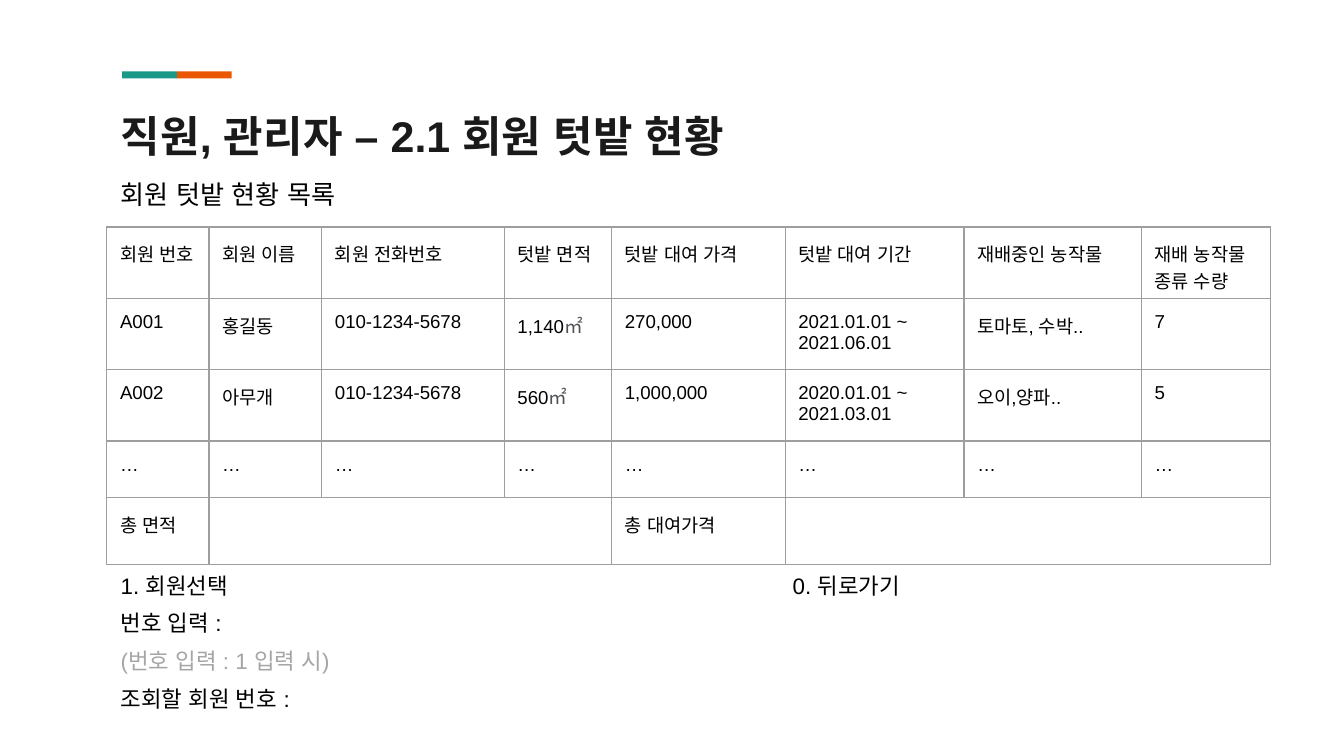
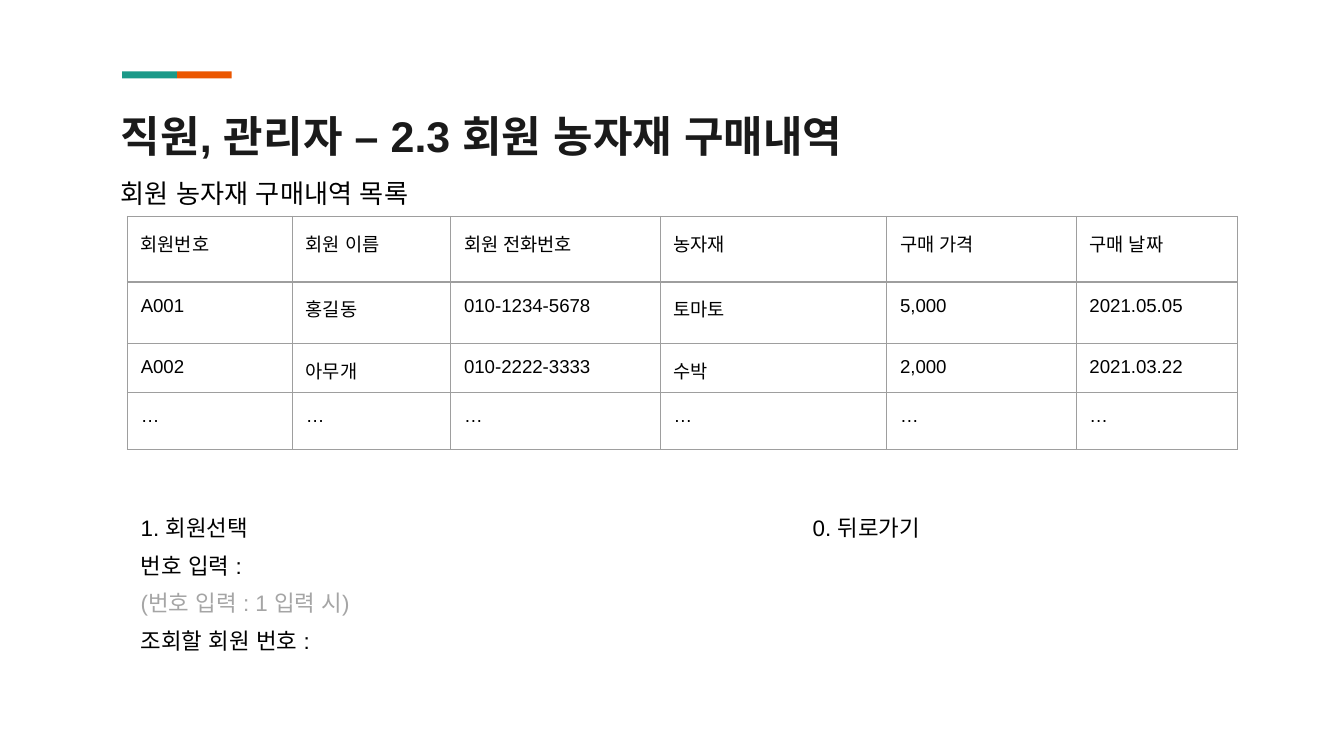
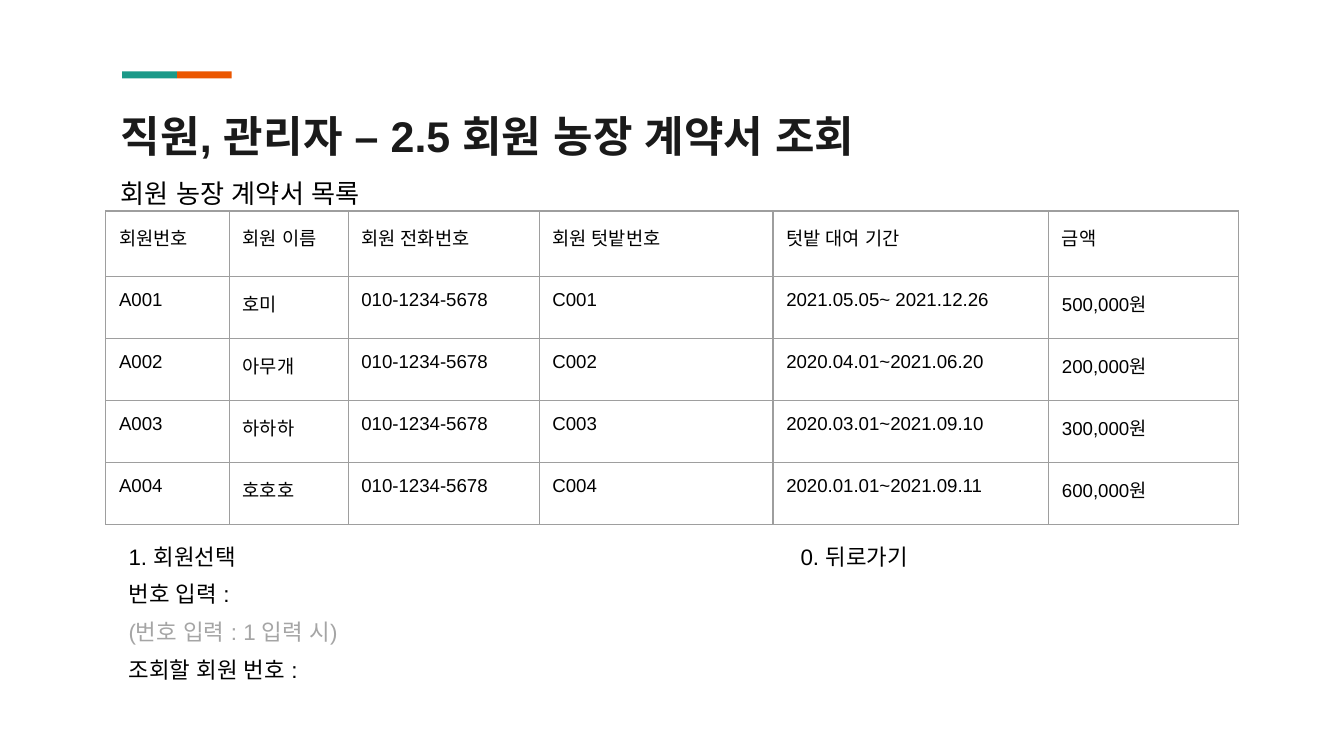
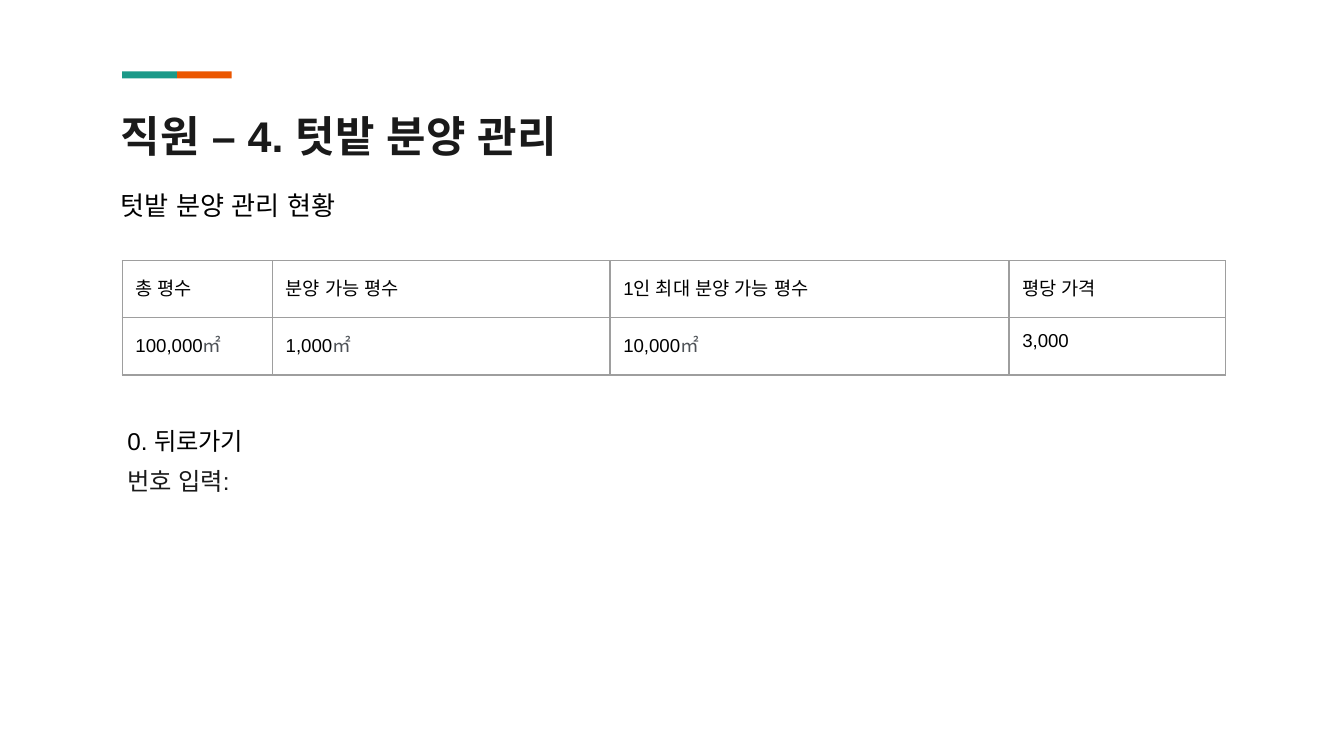
from lxml.etree import SubElement
from pptx import Presentation
from pptx.dml.color import RGBColor
from pptx.enum.lang import MSO_LANGUAGE_ID
from pptx.enum.shapes import MSO_SHAPE
from pptx.enum.text import MSO_ANCHOR, MSO_AUTO_SIZE, PP_ALIGN
from pptx.oxml.ns import qn
from pptx.util import Cm, Pt

FONT = "Arial"
BLACK, INK, UNIT_GRAY, HINT_GRAY = "000000", "1A1A1A", "4D5156", "A5A5A5"
BORDER, TEAL, ORANGE = "9E9E9E", "1A9988", "EB5600"
INSET = 0.25
LEFT = 2.03
UNIT = "㎡"
TAB_STOP = 12.7
BAR_LENGTH, BAR_THICKNESS = 1.45, 0.07
SUBTITLE_SIZE = (9.35, 1.12)
PROMPT_SIZE = (20.35, 3.89)
PROMPT_LINES = [
    ("1. 회원선택\t0. 뒤로가기", BLACK),
    ("번호 입력 :", BLACK),
    ("(번호 입력 : 1 입력 시)", HINT_GRAY),
    ("조회할 회원 번호 :", BLACK),
]


def rgb(value):
    return RGBColor.from_string(value)


def add_text(p, text, size=10, color=BLACK, bold=False, east_asian=True):
    r = p.add_run()
    r.text = text
    r.font.size = Pt(size)
    r.font.bold = bold
    r.font.name = FONT
    r.font.language_id = MSO_LANGUAGE_ID.KOREAN
    r.font.color.rgb = rgb(color)
    if east_asian:
        SubElement(r.font._element, qn("a:ea"), typeface=FONT)
    return r


def set_insets(target, left=INSET):
    target.margin_left = Cm(left)
    target.margin_top = target.margin_right = target.margin_bottom = Cm(INSET)


def add_bars(slide, layout):
    group = slide.shapes.add_group_shape()
    for i, color in ((1, ORANGE), (0, TEAL)):
        center = BAR_LENGTH * (i + 0.5)
        sp = group.shapes.add_shape(
            MSO_SHAPE.RECTANGLE,
            Cm(center - BAR_THICKNESS / 2), Cm((BAR_THICKNESS - BAR_LENGTH) / 2),
            Cm(BAR_THICKNESS), Cm(BAR_LENGTH))
        sp.rotation = 270
        sp.shadow.inherit = False
        sp.fill.solid()
        sp.fill.fore_color.rgb = rgb(color)
        sp.line.fill.background()
    group.left, group.top, group.width, group.height = Cm(2.31), Cm(1.35), Cm(2.07), Cm(0.13)
    xfrm = group.element.grpSpPr.find(qn("a:xfrm"))
    offset, extent = xfrm.find(qn("a:chOff")), xfrm.find(qn("a:chExt"))
    offset.set("x", "0")
    offset.set("y", "0")
    extent.set("cx", str(Cm(2 * BAR_LENGTH)))
    extent.set("cy", str(Cm(BAR_THICKNESS)))
    layout.shapes.element.append(group.element)


def style_layout(layout):
    title = layout.placeholders[0]
    title.left, title.top, title.width, title.height = Cm(LEFT), Cm(1.83), Cm(21.36), Cm(1.5)
    tf = title.text_frame
    set_insets(tf)
    tf.vertical_anchor = MSO_ANCHOR.TOP
    tf.auto_size = MSO_AUTO_SIZE.NONE


def add_box(slide, left, top, size, lines, font_size, spacing=None, inset_left=INSET):
    sp = slide.shapes.add_textbox(Cm(left), Cm(top), *map(Cm, size))
    tf = sp.text_frame
    tf.word_wrap = True
    set_insets(tf, inset_left)
    for i, (text, color) in enumerate(lines):
        p = tf.add_paragraph() if i else tf.paragraphs[0]
        if "\t" in text:
            tabs = SubElement(p._p.get_or_add_pPr(), qn("a:tabLst"))
            SubElement(tabs, qn("a:tab"), pos=str(Cm(TAB_STOP)), algn="l")
        if spacing:
            p.line_spacing = spacing
        add_text(p, text, size=font_size, color=color)
    return tf


def add_page(prs, layout, title, subtitle, subtitle_top):
    slide = prs.slides.add_slide(layout)
    p = slide.shapes.title.text_frame.paragraphs[0]
    p.alignment = PP_ALIGN.LEFT
    add_text(p, title, size=23, color=INK, bold=True)
    add_box(slide, LEFT, subtitle_top, SUBTITLE_SIZE, [(subtitle, BLACK)], 14)
    return slide


def add_prompt(slide, left, top):
    add_box(slide, left, top, PROMPT_SIZE, PROMPT_LINES, 12, spacing=1.4)


def set_borders(cell):
    tcPr = cell._tc.get_or_add_tcPr()
    for side in ("lnL", "lnR", "lnT", "lnB"):
        ln = SubElement(tcPr, qn(f"a:{side}"), w=str(Pt(0.75)))
        fill = SubElement(ln, qn("a:solidFill"))
        SubElement(fill, qn("a:srgbClr"), val=BORDER)


def fill_cell(cell, text):
    for i, line in enumerate(text.split("\n")):
        p = cell.text_frame.paragraphs[0] if i == 0 else cell.text_frame.add_paragraph()
        value, unit, _ = line.partition(UNIT)
        add_text(p, value, east_asian=False)
        if unit:
            add_text(p, unit, color=UNIT_GRAY, east_asian=False)


def style_empty_cell(cell):
    p = cell.text_frame.paragraphs[0]
    end = SubElement(p._p, qn("a:endParaRPr"), sz="1800")
    SubElement(end, qn("a:latin"), typeface=FONT)


def add_grid(slide, left, top, widths, heights, rows):
    frame = slide.shapes.add_table(
        len(rows), len(widths), Cm(left), Cm(top), Cm(sum(widths)), Cm(sum(heights)))
    table = frame.table
    table.first_row = table.horz_banding = False
    for column, width in zip(table.columns, widths):
        column.width = Cm(width)
    for i, (height, row) in enumerate(zip(heights, rows)):
        table.rows[i].height = Cm(height)
        start = 0
        for j, text in enumerate(row):
            cell = table.cell(i, j)
            set_borders(cell)
            cell.fill.background()
            set_insets(cell)
            if text:
                fill_cell(cell, text)
            else:
                style_empty_cell(cell)
            if text is not None:
                start = j
            elif j + 1 == len(row) or row[j + 1] is not None:
                table.cell(i, start).merge(cell)


def add_garden_status(prs, layout):
    slide = add_page(prs, layout, "직원, 관리자 – 2.1 회원 텃밭 현황", "회원 텃밭 현황 목록", 3.12)
    add_grid(
        slide, 2.02, 4.29,
        [1.93, 2.13, 3.45, 2.03, 3.28, 3.38, 3.35, 1.55, 0.89],
        [1.24, 1.17, 0.64, 1.07, 0.89],
        [
            ["회원 번호", "회원 이름", "회원 전화번호", "텃밭 면적", "텃밭 대여 가격",
             "텃밭 대여 기간", "재배중인 농작물", "재배 농작물 종류 수량", None],
            ["A001", "홍길동", "010-1234-5678", "1,140㎡", "270,000",
             "2021.01.01 ~\n2021.06.01", "토마토, 수박..", "7", None],
            ["A002", "아무개", "010-1234-5678", "560㎡", "1,000,000",
             "2020.01.01 ~\n2021.03.01", "오이,양파..", "5", None],
            ["…"] * 8 + [None],
            ["총 면적", "", None, None, "총 대여가격", "", None, None, None],
        ])
    add_prompt(slide, LEFT, 10.36)
    return slide


def add_purchases(prs, layout):
    slide = add_page(prs, layout, "직원, 관리자 – 2.3 회원 농자재 구매내역",
                     "회원 농자재 구매내역 목록", 3.1)
    add_grid(
        slide, 2.41, 4.09,
        [3.12, 2.99, 3.96, 4.28, 3.58, 3.04],
        [1.24, 1.17, 0.64, 1.07],
        [
            ["회원번호", "회원 이름", "회원 전화번호", "농자재", "구매 가격", "구매 날짜"],
            ["A001", "홍길동", "010-1234-5678", "토마토", "5,000", "2021.05.05"],
            ["A002", "아무개", "010-2222-3333", "수박", "2,000", "2021.03.22"],
            ["…"] * 6,
        ])
    add_prompt(slide, 2.41, 9.27)


def add_contracts(prs, layout):
    slide = add_page(prs, layout, "직원, 관리자 – 2.5 회원 농장 계약서 조회",
                     "회원 농장 계약서 목록", 3.1)
    add_grid(
        slide, 2, 3.99,
        [2.34, 2.24, 3.61, 4.42, 5.21, 3.58],
        [1.24] + [1.17] * 4,
        [
            ["회원번호", "회원 이름", "회원 전화번호", "회원 텃밭번호", "텃밭 대여 기간", "금액"],
            ["A001", "호미", "010-1234-5678", "C001", "2021.05.05~ 2021.12.26", "500,000원"],
            ["A002", "아무개", "010-1234-5678", "C002", "2020.04.01~2021.06.20", "200,000원"],
            ["A003", "하하하", "010-1234-5678", "C003", "2020.03.01~2021.09.10", "300,000원"],
            ["A004", "호호호", "010-1234-5678", "C004", "2020.01.01~2021.09.11", "600,000원"],
        ])
    add_prompt(slide, 2.18, 9.81)


def add_allotment(prs, layout):
    slide = add_page(prs, layout, "직원 – 4. 텃밭 분양 관리", "텃밭 분양 관리 현황", 3.33)
    add_grid(
        slide, 2.31, 4.93,
        [2.84, 6.38, 7.54, 4.09],
        [1.07, 1.09],
        [
            ["총 평수", "분양 가능 평수", "1인 최대 분양 가능 평수", "평당 가격"],
            ["100,000㎡", "1,000㎡", "10,000㎡", "3,000"],
        ])
    tf = add_box(slide, LEFT, 7.62, (9.88, 1.96),
                 [("0. 뒤로가기", BLACK), ("번호 입력:", INK)], 13, spacing=1.4, inset_left=0.38)
    tf.vertical_anchor = MSO_ANCHOR.MIDDLE


def main():
    prs = Presentation()
    prs.slide_width, prs.slide_height = Cm(25.4), Cm(14.29)
    layout = prs.slide_layouts[5]
    style_layout(layout)
    slide = add_garden_status(prs, layout)
    add_bars(slide, layout)
    add_purchases(prs, layout)
    add_contracts(prs, layout)
    add_allotment(prs, layout)
    prs.save("out.pptx")


if __name__ == "__main__":
    main()
